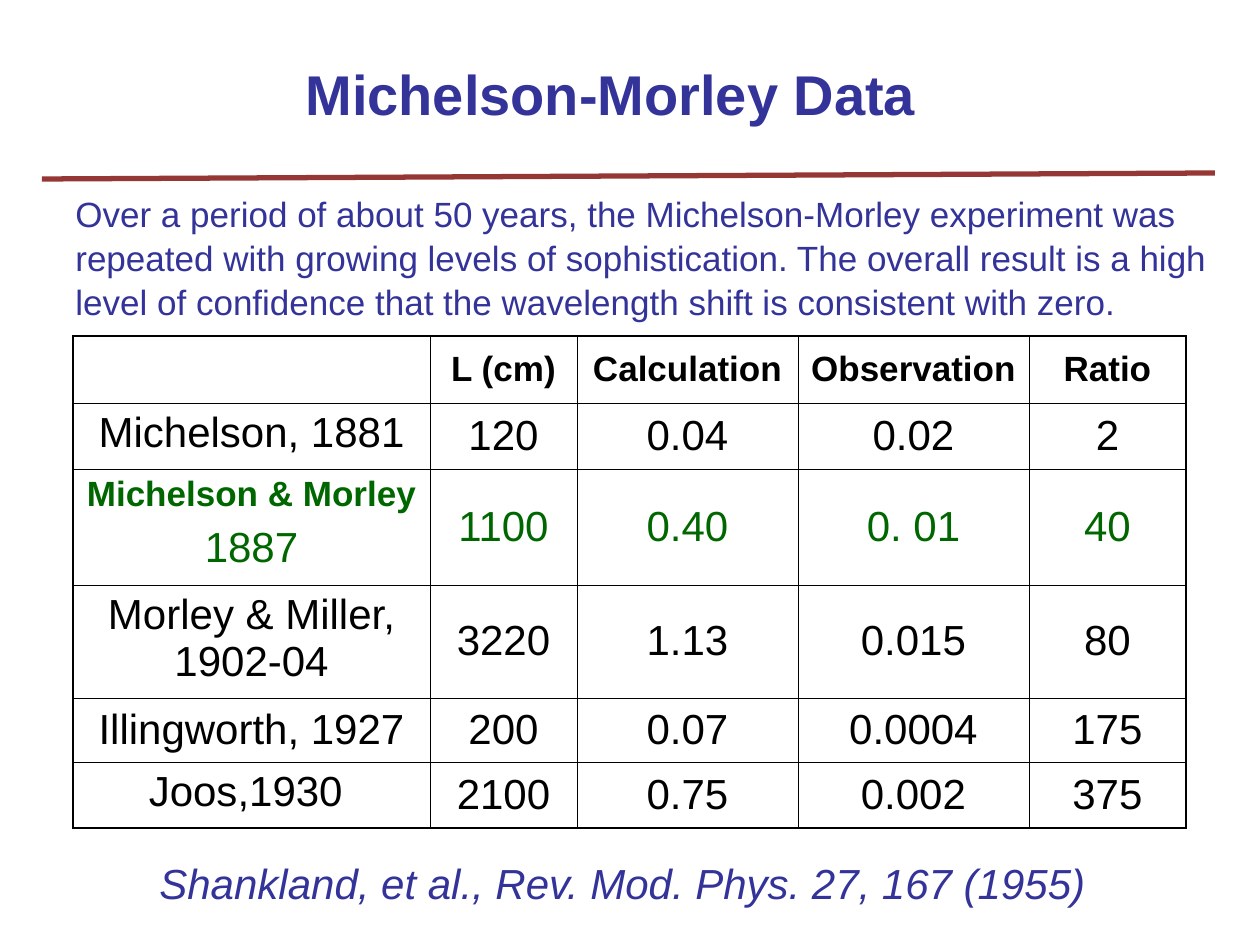
from dataclasses import dataclass

from lxml.etree import SubElement
from pptx import Presentation
from pptx.dml.color import RGBColor
from pptx.enum.shapes import MSO_CONNECTOR
from pptx.enum.text import MSO_ANCHOR, MSO_AUTO_SIZE, PP_ALIGN
from pptx.oxml.ns import qn
from pptx.util import Emu, Pt

FONT = "Arial"
BLUE, GREEN, BLACK, RED = "333399", "006600", "000000", "953735"
THIN, THICK = 0.45, 1.08


@dataclass
class Run:
    text: str
    size: int
    color: str = BLACK
    bold: bool = False
    italic: bool = False


@dataclass
class TextBox:
    left: int
    top: int
    width: int
    height: int
    runs: list[Run]
    wrap: bool = False
    line_spacing: float = 1.0


def px(value: int) -> Emu:
    return Emu(round(value * 914400 / 126))


def rgb(value: str) -> RGBColor:
    return RGBColor.from_string(value)


def add_run(paragraph, item: Run) -> None:
    run = paragraph.add_run()
    run.text = item.text
    font = run.font
    font.name, font.size = FONT, Pt(item.size)
    font.bold, font.italic = item.bold, item.italic
    font.color.rgb = rgb(item.color)


def add_text(slide, box: TextBox) -> None:
    shape = slide.shapes.add_textbox(
        px(box.left), px(box.top), px(box.width), px(box.height))
    frame = shape.text_frame
    frame.word_wrap = box.wrap
    frame.auto_size = MSO_AUTO_SIZE.SHAPE_TO_FIT_TEXT
    frame.vertical_anchor = MSO_ANCHOR.MIDDLE
    paragraph = frame.paragraphs[0]
    paragraph.line_spacing = box.line_spacing
    for item in box.runs:
        add_run(paragraph, item)


def set_border(cell, side: str, width: float) -> None:
    properties = cell._tc.get_or_add_tcPr()
    line = SubElement(properties, qn(f"a:ln{side}"), w=str(Pt(width)))
    fill = SubElement(line, qn("a:solidFill"))
    SubElement(fill, qn("a:srgbClr"), val=BLACK)


def fill_cell(cell, lines: list[Run], anchor: MSO_ANCHOR) -> None:
    cell.vertical_anchor = anchor
    frame = cell.text_frame
    for index, item in enumerate(lines):
        paragraph = frame.add_paragraph() if index else frame.paragraphs[0]
        paragraph.alignment = PP_ALIGN.CENTER
        if index:
            paragraph.space_before = Pt(6)
        add_run(paragraph, item)


def add_data_table(slide) -> None:
    table = slide.shapes.add_table(
        len(ROWS), len(COLUMN_WIDTHS), px(73), px(336),
        px(sum(COLUMN_WIDTHS)), px(sum(ROW_HEIGHTS))).table
    table.first_row = table.horz_banding = False
    for column, width in zip(table.columns, COLUMN_WIDTHS):
        column.width = px(width)
    last_row, last_column = len(ROWS) - 1, len(COLUMN_WIDTHS) - 1
    for r, (height, values) in enumerate(zip(ROW_HEIGHTS, ROWS)):
        table.rows[r].height = px(height)
        for c, value in enumerate(values):
            cell = table.cell(r, c)
            # The outer frame is thicker than the inner grid
            outer = {"L": c == 0, "R": c == last_column,
                     "T": r == 0, "B": r == last_row}
            for side, is_outer in outer.items():
                set_border(cell, side, THICK if is_outer else THIN)
            cell.fill.background()
            top_aligned = c == 0 and r in TOP_ALIGNED_ROWS
            fill_cell(cell, value,
                      MSO_ANCHOR.TOP if top_aligned else MSO_ANCHOR.MIDDLE)


def header(*labels: str) -> list[list[Run]]:
    return [[Run(label, 20, bold=True)] if label else [] for label in labels]


def data(name: list[Run], *values: str, color: str = BLACK) -> list[list[Run]]:
    return [name] + [[Run(value, 24, color)] for value in values]


# Table content and grid
COLUMN_WIDTHS = [357, 147, 221, 231, 157]
ROW_HEIGHTS = [67, 66, 116, 113, 64, 66]
TOP_ALIGNED_ROWS = {1, 2, 3, 5}
ROWS = [
    header("", "L (cm)", "Calculation", "Observation", "Ratio"),
    data([Run("Michelson, 1881", 24)], "120", "0.04", "0.02", "2"),
    data([Run("Michelson & Morley", 20, GREEN, bold=True),
          Run("1887", 24, GREEN)],
         "1100", "0.40", "0. 01", "40", color=GREEN),
    data([Run("Morley & Miller, 1902-04", 24)],
         "3220", "1.13", "0.015", "80"),
    data([Run("Illingworth, 1927", 24)], "200", "0.07", "0.0004", "175"),
    data([Run("Joos,1930 ", 24)], "2100", "0.75", "0.002", "375"),
]

# Title, introduction and citation
CITATION = TextBox(147, 851, 954, 63, [
    Run("Shankland, et al., Rev. Mod. Phys. 27, 167 (1955)", 24, BLUE,
        italic=True)])
TITLE = TextBox(293, 53, 649, 81, [
    Run("Michelson-Morley Data", 32, BLUE, bold=True),
    Run(" ", 28, BLUE, bold=True)])
INTRODUCTION = TextBox(63, 184, 1187, 145, [
    Run("Over a period of about 50 years, the Michelson-Morley experiment "
        "was repeated with growing levels of sophistication. The overall "
        "result is a high level of confidence that the wavelength shift is "
        "consistent with zero.", 20, BLUE)], wrap=True, line_spacing=1.05)


def add_title_rule(slide) -> None:
    rule = slide.shapes.add_connector(
        MSO_CONNECTOR.STRAIGHT, px(42), px(179), px(1215), px(173))
    rule.line.color.rgb = rgb(RED)
    rule.line.width = Pt(3)
    SubElement(rule._element.spPr, qn("a:effectLst"))


def main() -> None:
    presentation = Presentation()
    presentation.slide_width, presentation.slide_height = px(1260), px(945)
    slide = presentation.slides.add_slide(presentation.slide_layouts[6])
    add_data_table(slide)
    for box in (CITATION, TITLE, INTRODUCTION):
        add_text(slide, box)
    add_title_rule(slide)
    presentation.save("out.pptx")


if __name__ == "__main__":
    main()
